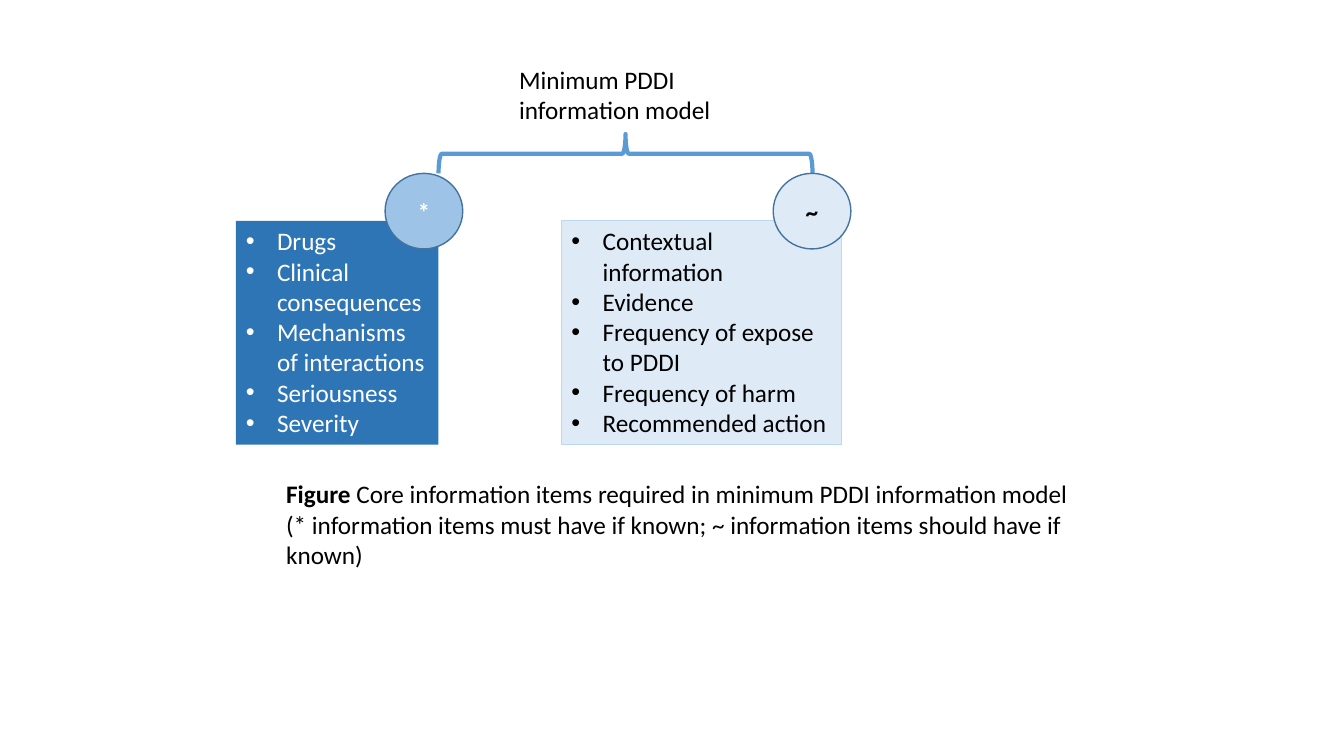
"""Draw the minimum PDDI information model: two lists of items under one brace."""
import dataclasses
import typing

import lxml.etree
import pptx
import pptx.dml.color
import pptx.enum.shapes
import pptx.enum.text
import pptx.oxml.ns
import pptx.util

SLIDE_WIDTH = pptx.util.Inches(13.333)
SLIDE_HEIGHT = pptx.util.Inches(7.5)
BULLET_INDENT = pptx.util.Inches(0.31)
FONT_NAME = "Calibri"
FONT_SIZE = pptx.util.Pt(18)
BLACK, WHITE = "000000", "FFFFFF"
PALE_BLUE, OUTLINE_BLUE = "DEEBF7", "43739E"
PANEL_TOP, PANEL_HEIGHT = 29.2, 29.6
BADGE_TOP, BADGE_WIDTH, BADGE_HEIGHT = 22.93, 5.78, 10
SHAPES = pptx.enum.shapes.MSO_SHAPE


class Box(typing.NamedTuple):
    """A frame in percent of the slide's width and height."""

    left: float
    top: float
    width: float
    height: float

    def lengths(self) -> tuple[int, int, int, int]:
        """Return the frame as slide lengths."""
        return (
            round(self.left * SLIDE_WIDTH / 100),
            round(self.top * SLIDE_HEIGHT / 100),
            round(self.width * SLIDE_WIDTH / 100),
            round(self.height * SLIDE_HEIGHT / 100),
        )


@dataclasses.dataclass(frozen=True)
class ItemGroup:
    """A panel of items with the badge that marks its requirement level."""

    items: tuple[str, ...]
    left: float
    width: float
    fill: str
    line: str | None
    text_color: str
    badge: str
    badge_left: float
    badge_fill: str


GROUPS = (
    ItemGroup(
        ("Drugs", "Clinical consequences", "Mechanisms of interactions", "Seriousness", "Severity"),
        17.55, 15.08, "2E75B6", None, WHITE, "*", 28.65, "9DC3E6",
    ),
    ItemGroup(
        ("Contextual information", "Evidence", "Frequency of expose to PDDI",
         "Frequency of harm", "Recommended action"),
        41.78, 20.85, PALE_BLUE, "BDD7EE", BLACK, "~", 57.53, PALE_BLUE,
    ),
)
HEADING_BOX = Box(37.88, 7.87, 17.33, 9.47)
BRACE_BOX = Box(45.08, -4.4, 2.93, 49.47)
CAPTION_BOX = Box(20.55, 62.67, 61.28, 13.47)


def color(hex_code: str) -> pptx.dml.color.RGBColor:
    """Turn a hex string into a colour."""
    return pptx.dml.color.RGBColor.from_string(hex_code)


def add_text(paragraph, text: str, *, text_color: str = BLACK, bold: bool = False,
             centered: bool = False, bullet: bool = False) -> None:
    """Add a formatted run to a paragraph."""
    run = paragraph.add_run()
    run.text = text
    run.font.name = FONT_NAME
    run.font.size = FONT_SIZE
    run.font.bold = bold
    run.font.color.rgb = color(text_color)
    alignments = pptx.enum.text.PP_ALIGN
    paragraph.alignment = alignments.CENTER if centered else alignments.LEFT
    if bullet:
        properties = paragraph._p.get_or_add_pPr()
        properties.set("marL", str(BULLET_INDENT))
        properties.set("indent", str(-BULLET_INDENT))
        bullet_font = lxml.etree.SubElement(properties, pptx.oxml.ns.qn("a:buFont"))
        bullet_font.set("typeface", "Arial")
        character = lxml.etree.SubElement(properties, pptx.oxml.ns.qn("a:buChar"))
        character.set("char", "•")


def add_figure(slide, kind, box: Box, *, fill: str | None = None,
               line: str | None = None, line_width: float = 1):
    """Add a preset shape with a flat fill and line."""
    shape = slide.shapes.add_shape(kind, *box.lengths())
    shape.shadow.inherit = False
    if fill:
        shape.fill.solid()
        shape.fill.fore_color.rgb = color(fill)
    else:
        shape.fill.background()
    if line:
        shape.line.color.rgb = color(line)
        shape.line.width = pptx.util.Pt(line_width)
    else:
        shape.line.fill.background()
    return shape


def add_text_box(slide, box: Box):
    """Add a wrapping text box and return its first paragraph."""
    frame = slide.shapes.add_textbox(*box.lengths()).text_frame
    frame.word_wrap = True
    return frame.paragraphs[0]


def add_panel(slide, group: ItemGroup) -> None:
    """Draw the bulleted panel of a group."""
    box = Box(group.left, PANEL_TOP, group.width, PANEL_HEIGHT)
    panel = add_figure(slide, SHAPES.RECTANGLE, box, fill=group.fill,
                       line=group.line, line_width=0.75)
    frame = panel.text_frame
    frame.word_wrap = True
    frame.vertical_anchor = pptx.enum.text.MSO_ANCHOR.TOP
    for index, item in enumerate(group.items):
        paragraph = frame.add_paragraph() if index else frame.paragraphs[0]
        add_text(paragraph, item, text_color=group.text_color, bullet=True)


def add_badge(slide, group: ItemGroup) -> None:
    """Draw the round badge of a group."""
    box = Box(group.badge_left, BADGE_TOP, BADGE_WIDTH, BADGE_HEIGHT)
    badge = add_figure(slide, SHAPES.OVAL, box, fill=group.badge_fill, line=OUTLINE_BLUE)
    badge.text_frame.vertical_anchor = pptx.enum.text.MSO_ANCHOR.MIDDLE
    add_text(badge.text_frame.paragraphs[0], group.badge,
             text_color=group.text_color, bold=True, centered=True)


def main() -> None:
    """Build and save the slide."""
    presentation = pptx.Presentation()
    presentation.slide_width = SLIDE_WIDTH
    presentation.slide_height = SLIDE_HEIGHT
    slide = presentation.slides.add_slide(presentation.slide_layouts[6])

    for group in GROUPS:
        add_panel(slide, group)
    add_text(add_text_box(slide, HEADING_BOX), "Minimum PDDI information model")
    brace = add_figure(slide, SHAPES.RIGHT_BRACE, BRACE_BOX, line="5B9BD5", line_width=3)
    brace.rotation = 270
    for group in GROUPS:
        add_badge(slide, group)

    caption = add_text_box(slide, CAPTION_BOX)
    add_text(caption, "Figure", bold=True)
    add_text(caption, " Core information items required in minimum PDDI information model "
             "(* information items must have if known; ~ information items should have if known)")
    presentation.save("out.pptx")


if __name__ == "__main__":
    main()
